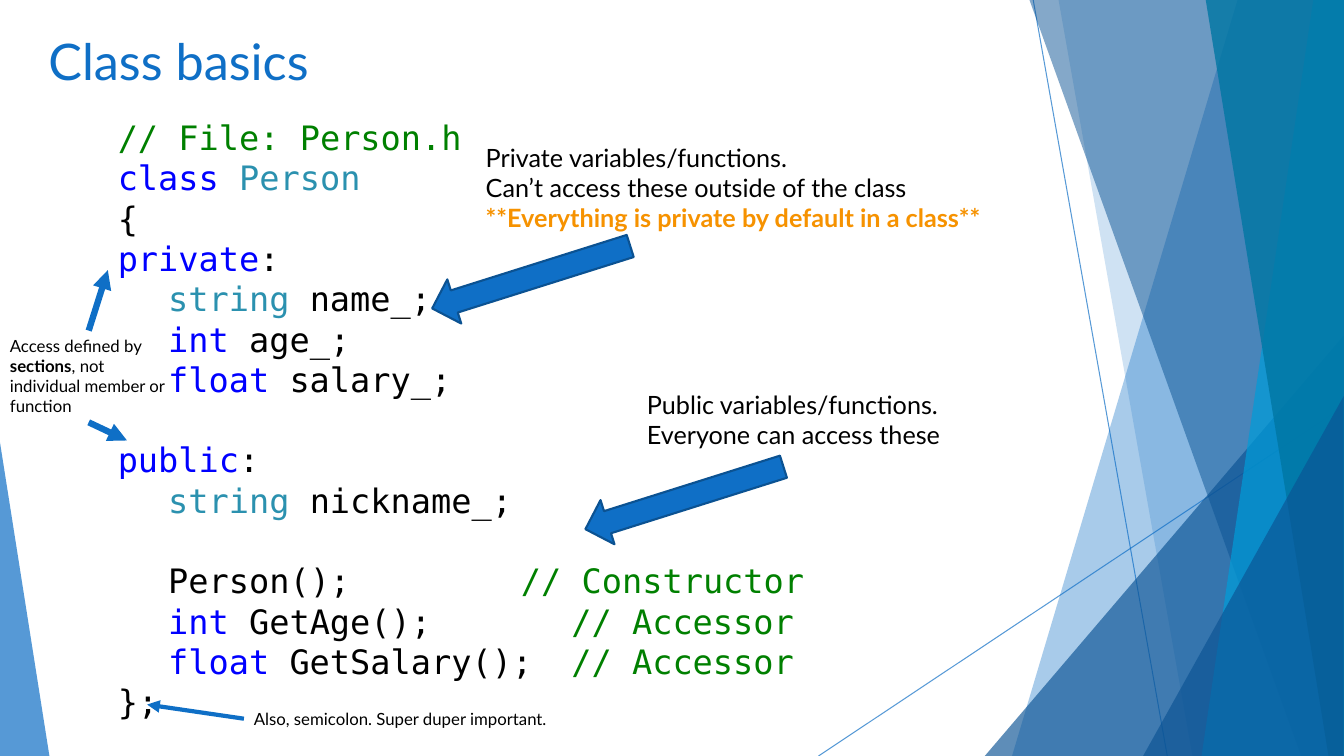
from dataclasses import dataclass

from lxml.etree import SubElement
from pptx import Presentation
from pptx.dml.color import RGBColor
from pptx.enum.shapes import MSO_CONNECTOR, MSO_SHAPE
from pptx.enum.text import MSO_ANCHOR, MSO_AUTO_SIZE, PP_ALIGN
from pptx.oxml.ns import qn
from pptx.util import Emu, Inches, Pt

# Grid: every column and row is a tenth of an inch.
CELL = Inches(0.1)
COLUMNS, ROWS = 133.33, 75
TOP = -0.1
TAB_COLUMNS, TAB_COUNT = 5, 9
CODE_SIZE = 24
BLANK_LINE = Pt(CODE_SIZE * 1.2)
BODY_FONT, CODE_FONT = "Lato", "DejaVu Sans Mono"

COLORS = {
    "blue": "0F6FC6", "navy": "0B5394", "edge": "0B5292", "sky": "009DD9",
    "teal": "0076A3", "plain": "000000", "warning": "F69200",
    "comment": "008000", "keyword": "0000FF", "type": "2B91AF",
}


@dataclass
class Facet:
    """A band down to the slide's foot, closed on its right by the slide's edge."""
    top_left: float
    bottom_left: float
    color: str
    opacity: int


@dataclass
class Corner:
    """A triangle that stands on the slide's foot; apex is a share of its width."""
    left: float
    top: float
    width: float
    apex: float
    color: str
    opacity: int


@dataclass
class Span:
    text: str
    color: str = "plain"
    bold: bool = False


@dataclass
class Line:
    spans: list[Span]
    after_blank: bool = False


@dataclass
class Note:
    box: tuple[float, float, float, float]
    size: int
    lines: list[Line]


@dataclass
class Pointer:
    """An arrow from the middle of a note's side to a place in the code."""
    side: int
    tip: tuple[float, float]
    weight: float


BACK_FACETS = [Facet(122.8, 100.4, "blue", 36), Facet(105, 118.3, "blue", 20)]
FRONT_FACETS = [Facet(102.1, 129.1, "navy", 50), Facet(130.3, 119.2, "sky", 70),
                Facet(119.6, 131.8, "teal", 80)]
WIDE_CORNER = Corner(97.7, 33.3, 35.6, 1, "navy", 66)
FRONT_CORNERS = [Corner(113.4, 39.3, 19.9, 1, "navy", 66),
                 Corner(0, 43.9, 4.9, 0, "blue", 70)]
HAIRLINES = [((102.5, 0), (115.8, ROWS)), ((COLUMNS, 40.3), (81.2, ROWS))]

PRIVATE_NOTE = Note((47.2, 13.6, 54.9, 10.1), 18, [
    Line([Span("Private variables/functions.")]),
    Line([Span("Can’t access these outside of the class")]),
    Line([Span("**Everything is private by default in a class**", "warning", True)]),
])
PUBLIC_NOTE = Note((63.2, 38.1, 46.7, 7.1), 18, [
    Line([Span("Public variables/functions.")]),
    Line([Span("Everyone can access these")]),
])
BLOCK_ARROWS = [((42.4, 25.2), PRIVATE_NOTE), ((57.6, 47.1), PUBLIC_NOTE)]

SECTIONS_NOTE = Note((0, 32.8, 17.6, 9.1), 12, [
    Line([Span("Access defined by "), Span("sections", bold=True),
          Span(", not individual member or function")]),
])
SEMICOLON_NOTE = Note((24.2, 69.8, 39.4, 3), 12, [
    Line([Span("Also, semicolon. Super duper important.")]),
])
POINTED_NOTES = [
    (SECTIONS_NOTE, [Pointer(0, (10.7, 26.8), 4.5), Pointer(2, (12.6, 43.7), 4.5)]),
    (SEMICOLON_NOTE, [Pointer(1, (14.6, 69.9), 3)]),
]

CODE = Note((10.7, 11.1, 78.9, 61.6), CODE_SIZE, [
    Line([Span("// File: Person.h", "comment")]),
    Line([Span("class ", "keyword"), Span("Person", "type")]),
    Line([Span("{")]),
    Line([Span("private", "keyword"), Span(":")]),
    Line([Span("\tstring ", "type"), Span("name_;")]),
    Line([Span("\tint ", "keyword"), Span("age_;")]),
    Line([Span("\tfloat ", "keyword"), Span("salary_;")]),
    Line([Span("public", "keyword"), Span(":")], after_blank=True),
    Line([Span("\tstring ", "type"), Span("nickname_;")]),
    Line([Span("\tPerson();\t\t\t\t"), Span("// Constructor", "comment")], after_blank=True),
    Line([Span("\tint ", "keyword"), Span("GetAge();\t\t\t"), Span("// Accessor", "comment")]),
    Line([Span("\tfloat ", "keyword"), Span("GetSalary();\t"), Span("// Accessor", "comment")]),
    Line([Span("};")]),
])


def grid(*cells: float) -> list[Emu]:
    return [Emu(round(cell * CELL)) for cell in cells]


def rgb(color: str) -> RGBColor:
    return RGBColor.from_string(COLORS[color])


def set_all(target, values: dict) -> None:
    for name, value in values.items():
        setattr(target, name, value)


def set_opacity(properties, percent: int) -> None:
    """Make the solid fill found in the given XML part see-through."""
    color = next(properties.iter(qn("a:srgbClr")))
    SubElement(color, qn("a:alpha"), val=str(percent * 1000))


def paint(shape, color: str, opacity: int) -> None:
    shape.shadow.inherit = False
    shape.fill.solid()
    shape.fill.fore_color.rgb = rgb(color)
    shape.line.fill.background()
    set_opacity(shape._element.spPr, opacity)


def draw_facet(slide, facet: Facet) -> None:
    builder = slide.shapes.build_freeform(*grid(facet.top_left, TOP))
    corners = [(COLUMNS, TOP), (COLUMNS, ROWS), (facet.bottom_left, ROWS)]
    builder.add_line_segments([grid(*corner) for corner in corners], close=True)
    paint(builder.convert_to_shape(), facet.color, facet.opacity)


def draw_corner(slide, corner: Corner) -> None:
    triangle = slide.shapes.add_shape(
        MSO_SHAPE.ISOSCELES_TRIANGLE,
        *grid(corner.left, corner.top, corner.width, ROWS - corner.top))
    triangle.adjustments[0] = corner.apex
    paint(triangle, corner.color, corner.opacity)


def draw_line(slide, start: tuple, end: tuple, weight: float):
    line = slide.shapes.add_connector(MSO_CONNECTOR.STRAIGHT, *grid(*start, *end))
    line.line.color.rgb = rgb("blue")
    line.line.width = Pt(weight)
    SubElement(line._element.spPr, qn("a:effectLst"))
    return line


def draw_backdrop(slide) -> None:
    for start, end in HAIRLINES:
        hairline = draw_line(slide, start, end, 0.75)
        set_opacity(hairline._element.spPr, 70)
    for facet in BACK_FACETS:
        draw_facet(slide, facet)
    draw_corner(slide, WIDE_CORNER)
    for facet in FRONT_FACETS:
        draw_facet(slide, facet)
    for corner in FRONT_CORNERS:
        draw_corner(slide, corner)


def add_tab_stops(paragraph) -> None:
    stops = SubElement(paragraph._p.get_or_add_pPr(), qn("a:tabLst"))
    for position in grid(*(TAB_COLUMNS * (i + 1) for i in range(TAB_COUNT))):
        SubElement(stops, qn("a:tab"), pos=str(position), algn="l")


def draw_note(slide, note: Note, font: str = BODY_FONT):
    box = slide.shapes.add_textbox(*grid(*note.box))
    frame = box.text_frame
    set_all(frame, {"word_wrap": True, "auto_size": MSO_AUTO_SIZE.SHAPE_TO_FIT_TEXT})
    for index, line in enumerate(note.lines):
        paragraph = frame.add_paragraph() if index else frame.paragraphs[0]
        if any("\t" in span.text for span in line.spans):
            add_tab_stops(paragraph)
        if line.after_blank:
            paragraph.space_before = BLANK_LINE
        for span in line.spans:
            run = paragraph.add_run()
            run.text = span.text
            set_all(run.font, {"name": font, "size": Pt(note.size), "bold": span.bold})
            run.font.color.rgb = rgb(span.color)
    return box


def draw_block_arrow(slide, corner: tuple[float, float]) -> None:
    arrow = slide.shapes.add_shape(MSO_SHAPE.LEFT_ARROW, *grid(*corner, 20.6, 4.6))
    arrow.rotation = 342.5
    paint(arrow, "blue", 100)
    arrow.line.color.rgb = rgb("edge")
    arrow.line.width = Pt(1.5)


def draw_pointer(slide, box, pointer: Pointer) -> None:
    line = draw_line(slide, pointer.tip, pointer.tip, pointer.weight)
    line.begin_connect(box, pointer.side)
    SubElement(line.line._get_or_add_ln(), qn("a:tailEnd"), type="triangle")


def format_title(title) -> None:
    set_all(title, dict(zip(("left", "top", "width", "height"), grid(3.8, 2.5, 94, 14.4))))
    title.text_frame.text = "Class basics"
    set_all(title.text_frame, {"vertical_anchor": MSO_ANCHOR.TOP, "word_wrap": True,
                               "auto_size": MSO_AUTO_SIZE.NONE})
    heading = title.text_frame.paragraphs[0]
    heading.alignment = PP_ALIGN.LEFT
    set_all(heading.runs[0].font, {"name": BODY_FONT, "size": Pt(36)})
    heading.runs[0].font.color.rgb = rgb("blue")


def main() -> None:
    deck = Presentation()
    deck.slide_width, deck.slide_height = grid(COLUMNS, ROWS)
    slide = deck.slides.add_slide(deck.slide_layouts[5])
    draw_backdrop(slide)
    format_title(slide.shapes.title)
    for corner, note in BLOCK_ARROWS:
        draw_block_arrow(slide, corner)
        draw_note(slide, note)
    for note, pointers in POINTED_NOTES:
        box = draw_note(slide, note)
        for pointer in pointers:
            draw_pointer(slide, box, pointer)
    draw_note(slide, CODE, CODE_FONT)
    deck.save("out.pptx")


if __name__ == "__main__":
    main()
